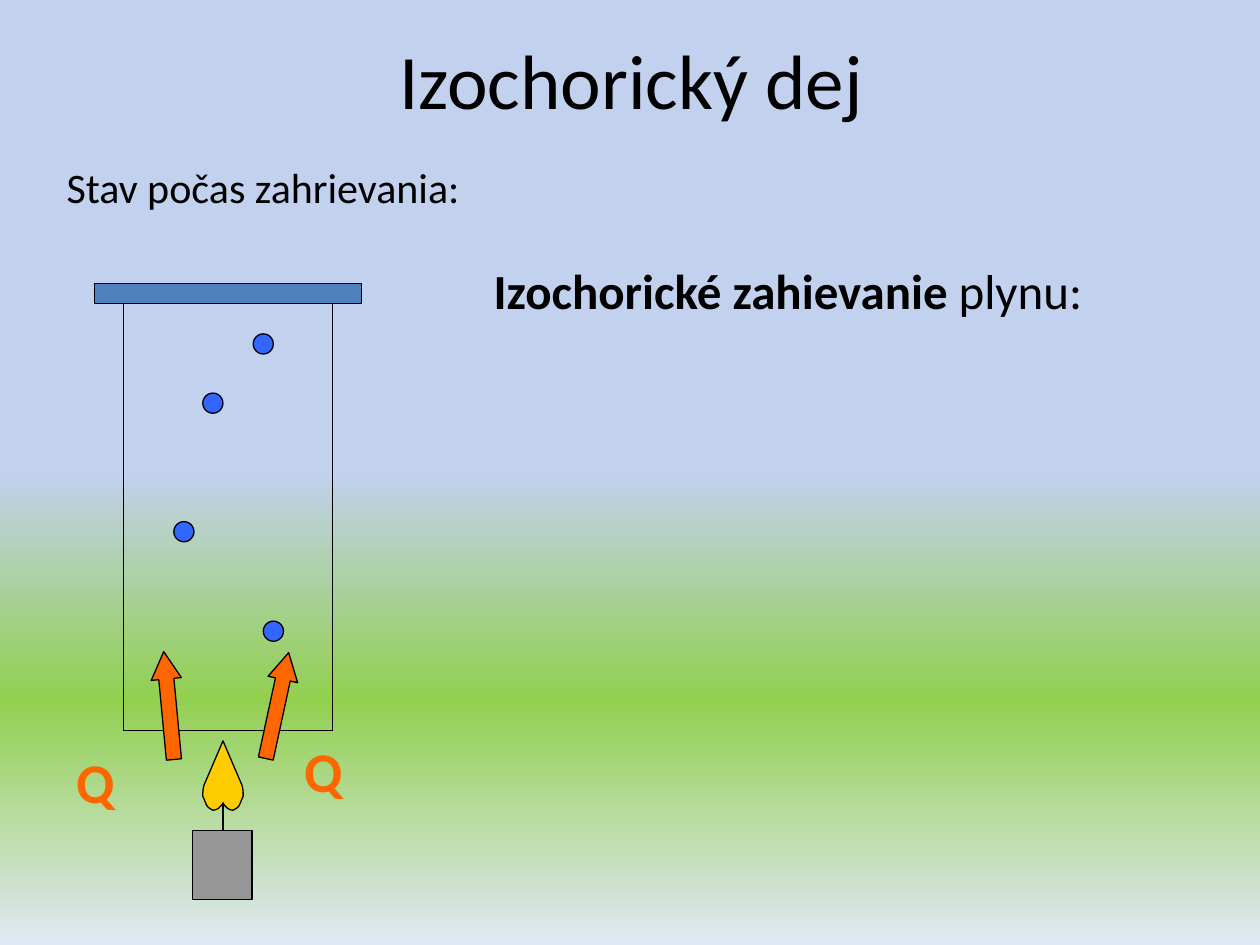
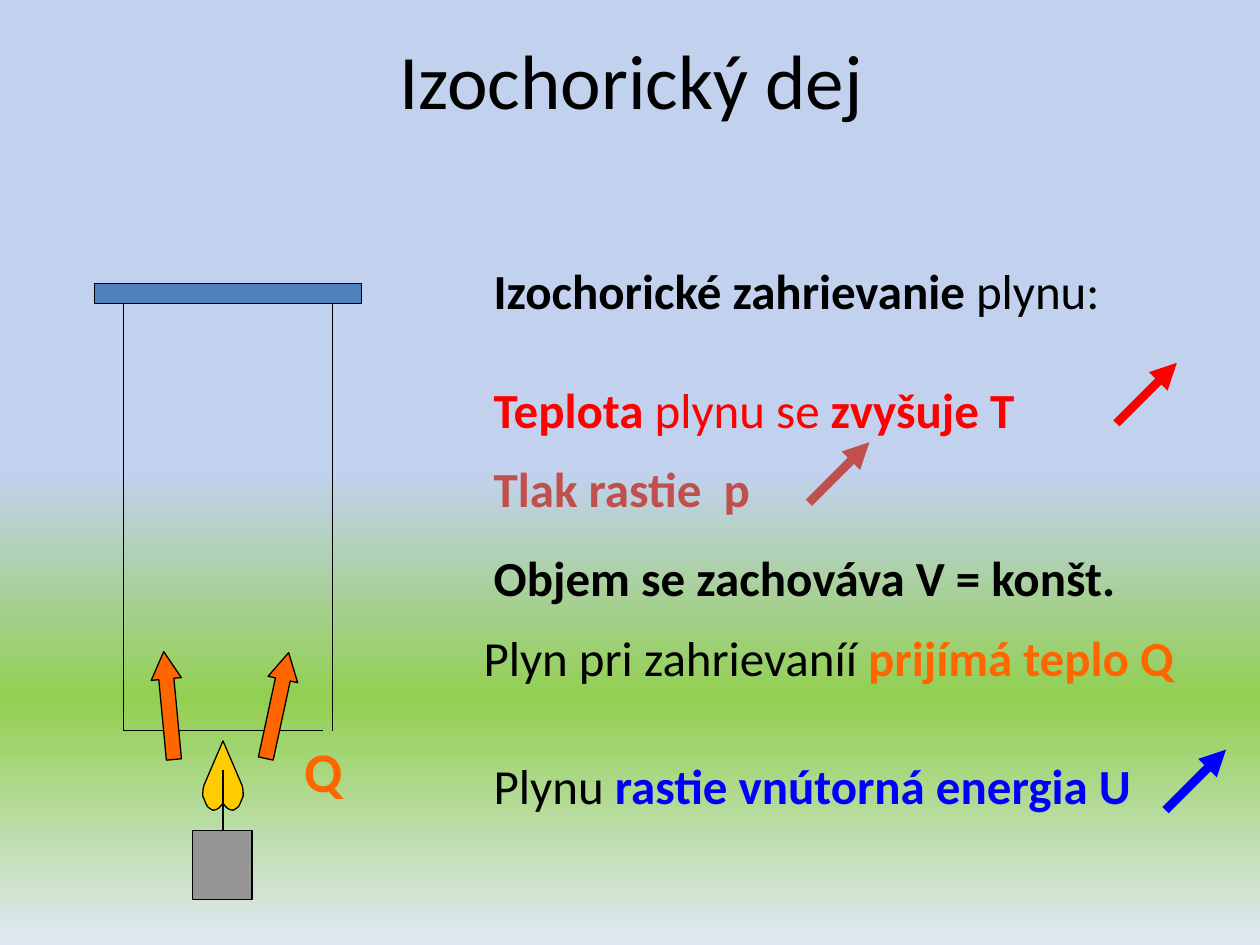
from copy import deepcopy
from dataclasses import dataclass

from lxml import etree
from pptx import Presentation
from pptx.dml.color import RGBColor
from pptx.enum.shapes import MSO_CONNECTOR, MSO_SHAPE
from pptx.enum.text import MSO_ANCHOR, MSO_AUTO_SIZE, PP_ALIGN
from pptx.oxml.ns import qn
from pptx.util import Inches, Pt

RECT, OVAL, LEFT_ARROW = MSO_SHAPE.RECTANGLE, MSO_SHAPE.OVAL, MSO_SHAPE.LEFT_ARROW
STRAIGHT = MSO_CONNECTOR.STRAIGHT
TOP, MIDDLE = MSO_ANCHOR.TOP, MSO_ANCHOR.MIDDLE
LEFT, CENTER = PP_ALIGN.LEFT, PP_ALIGN.CENTER
FIT_SHAPE = MSO_AUTO_SIZE.SHAPE_TO_FIT_TEXT

COLORS = {
    "sky": "C2D1ED", "grass": "92D050", "haze": "E1E8F5",
    "black": "000000", "lid": "4F81BD", "candle": "969696",
    "molecule": "3366FF", "flame": "FFCC00", "heat": "FF6600",
    "temperature": "FF0000", "pressure": "C0504D", "energy": "0000FF",
}
FONT = "Calibri"
BACKGROUND_STOPS = [("sky", 0.5), ("grass", 0.74), ("haze", 1.0)]
TEXT_X = 3.82
AXIS_X = 1.77
FLAME_TIP_Y = 5.88
FLAME_NOTCH = (0.0, 6.37)
# Cubic curves of the right half, as offsets from the flame axis
FLAME_CURVES = [
    [(0, 6.38), (0.02, 6.4), (0.03, 6.41)],
    [(0.04, 6.42), (0.06, 6.43), (0.08, 6.43)],
    [(0.1, 6.42), (0.12, 6.41), (0.13, 6.39)],
    [(0.14, 6.37), (0.15, 6.34), (0.16, 6.32)],
    [(0.16, 6.29), (0.16, 6.26), (0.15, 6.23)],
]


@dataclass
class Run:
    text: str
    color: str = "black"
    bold: bool = False


@dataclass
class Label:
    x: float
    y: float
    w: float
    h: float
    runs: list[Run]
    size: int = 28
    align: int = LEFT
    anchor: int = TOP


@dataclass
class Block:
    kind: int
    x: float
    y: float
    w: float
    h: float
    color: str
    rotation: float = 0


@dataclass
class Line:
    x1: float
    y1: float
    x2: float
    y2: float
    color: str = "black"
    width: float = 0.75
    arrow: bool = False


def rgb(name: str) -> RGBColor:
    return RGBColor.from_string(COLORS[name])


def paint_background(s) -> None:
    fill = s.background.fill
    fill.gradient()
    fill.gradient_angle = 270
    gs_list = s._element.find(".//" + qn("a:gsLst"))
    gs_list.append(deepcopy(gs_list[-1]))
    for stop, (color, position) in zip(fill.gradient_stops, BACKGROUND_STOPS):
        stop.color.rgb = rgb(color)
        stop.position = position


def add_label(s, label: Label) -> None:
    tf = s.shapes.add_textbox(*map(Inches, (label.x, label.y, label.w, label.h))).text_frame
    frame = {"word_wrap": True, "auto_size": FIT_SHAPE, "vertical_anchor": label.anchor}
    if label.anchor == MIDDLE:
        del frame["auto_size"]
    for name, value in frame.items():
        setattr(tf, name, value)
    p = tf.paragraphs[0]
    p.alignment = label.align
    for run in label.runs:
        r = p.add_run()
        r.text = run.text
        for name, value in {"name": FONT, "size": Pt(label.size), "bold": run.bold}.items():
            setattr(r.font, name, value)
        r.font.color.rgb = rgb(run.color)


def style_shape(sp, color: str) -> None:
    sp.shadow.inherit = False
    sp.fill.solid()
    sp.fill.fore_color.rgb = rgb(color)
    sp.line.color.rgb = rgb("black")
    sp.line.width = Pt(0.75)


def add_block(s, block: Block) -> None:
    sp = s.shapes.add_shape(block.kind, *map(Inches, (block.x, block.y, block.w, block.h)))
    style_shape(sp, block.color)
    sp.rotation = block.rotation
    if block.kind == LEFT_ARROW:
        sp.adjustments[0], sp.adjustments[1] = 0.5, 0.909


def add_line(s, line: Line) -> None:
    cn = s.shapes.add_connector(STRAIGHT, *map(Inches, (line.x1, line.y1, line.x2, line.y2)))
    cn.line.color.rgb = rgb(line.color)
    cn.line.width = Pt(line.width)
    if line.arrow:
        etree.SubElement(cn.line._get_or_add_ln(), qn("a:tailEnd"), type="triangle")
    etree.SubElement(cn._element.spPr, qn("a:effectLst"))


def add_flame(s, steps: int = 6) -> None:
    half = [FLAME_NOTCH]
    for curve in FLAME_CURVES:
        a, (b, c, d) = half[-1], curve
        for i in range(1, steps + 1):
            t = i / steps
            u = 1 - t
            weights = (u**3, 3 * u * u * t, 3 * u * t * t, t**3)
            half.append(tuple(sum(k * pt[axis] for k, pt in zip(weights, (a, b, c, d)))
                              for axis in (0, 1)))
    outline = half + [(0, FLAME_TIP_Y)] + [(-x, y) for x, y in reversed(half[1:])]
    points = [(Inches(AXIS_X + x), Inches(y)) for x, y in outline]
    builder = s.shapes.build_freeform(*points[0], scale=1.0)
    builder.add_line_segments(points[1:], close=True)
    style_shape(builder.convert_to_shape(), "flame")


def heat_label(x: float, y: float) -> Label:
    return Label(x, y, 0.47, 0.63, [Run("Q", "heat", True)], 32)


def add_apparatus(s, floor_end: float, wick_in_front: bool) -> None:
    # Vessel with its lid
    for line in (Line(0.98, 2.41, 0.98, 5.8), Line(0.98, 5.8, floor_end, 5.8),
                 Line(2.64, 5.8, 2.64, 2.33)):
        add_line(s, line)
    add_block(s, Block(RECT, 0.75, 2.25, 2.12, 0.16, "lid"))
    # Burning candle
    wick = Line(AXIS_X, 6.11, AXIS_X, 6.43)
    add_line(s, Line(AXIS_X, 6.59, AXIS_X, 6.19))
    add_block(s, Block(RECT, 1.53, 6.59, 0.47, 0.55, "candle"))
    if wick_in_front:
        add_flame(s)
        add_line(s, wick)
    else:
        add_line(s, wick)
        add_flame(s)
    # Heat entering the gas
    for x, rotation in ((0.91, 84.6), (1.77, 102.2)):
        add_block(s, Block(LEFT_ARROW, x, 5.48, 0.86, 0.24, "heat", rotation))
    add_label(s, heat_label(2.32, 5.8))


def add_base_slide(prs, heading: str, floor_end: float, wick_in_front: bool):
    s = prs.slides.add_slide(prs.slide_layouts[6])
    paint_background(s)
    add_label(s, Label(0.51, 0, 9, 1.25, [Run("Izochorický dej")], 44, CENTER, MIDDLE))
    add_apparatus(s, floor_end, wick_in_front)
    add_label(s, Label(TEXT_X, 2.02, 5.43, 0.57, [Run(heading, bold=True), Run("plynu:")]))
    return s


def build_heating_slide(prs) -> None:
    s = add_base_slide(prs, "Izochorické zahievanie ", 2.64, False)
    add_label(s, Label(0.43, 1.23, 4.25, 0.5, [Run("Stav počas zahrievania:")], 24))
    for x, y in ((1.61, 3.12), (1.38, 4.14), (2.01, 2.65), (2.09, 4.93)):
        add_block(s, Block(OVAL, x, y, 0.16, 0.16, "molecule"))
    add_label(s, heat_label(0.51, 5.88))


def build_summary_slide(prs) -> None:
    s = add_base_slide(prs, "Izochorické zahrievanie ", 2.56, True)
    # Statements on the state of the gas
    for label in (
        Label(TEXT_X, 2.96, 5.2, 0.57, [
            Run("Teplota", "temperature", True), Run(" plynu se ", "temperature"),
            Run("zvyšuje T", "temperature", True)]),
        Label(TEXT_X, 3.59, 4.49, 0.57, [Run("Tlak rastie  p", "pressure", True)]),
        Label(TEXT_X, 4.3, 6.18, 0.57, [Run("Objem se zachováva V = konšt.", bold=True)]),
        Label(3.74, 4.93, 6.26, 0.57, [
            Run("Plyn pri zahrievaníí "), Run("prijímá teplo Q", "heat", True)]),
        Label(TEXT_X, 5.95, 6.18, 0.57, [
            Run("Plynu "), Run("rastie vnútorná energia U", "energy", True)]),
    ):
        add_label(s, label)
    # Rising arrows
    rise = 0.48
    for x, y, color in ((8.86, 3.36, "temperature"), (6.42, 3.99, "pressure"),
                        (9.25, 6.43, "energy")):
        add_line(s, Line(x, y, x + rise, y - rise, color, 5, True))


def main() -> None:
    prs = Presentation()
    prs.slide_width, prs.slide_height = Inches(10), Inches(7.5)
    build_heating_slide(prs)
    build_summary_slide(prs)
    prs.save("out.pptx")


if __name__ == "__main__":
    main()
